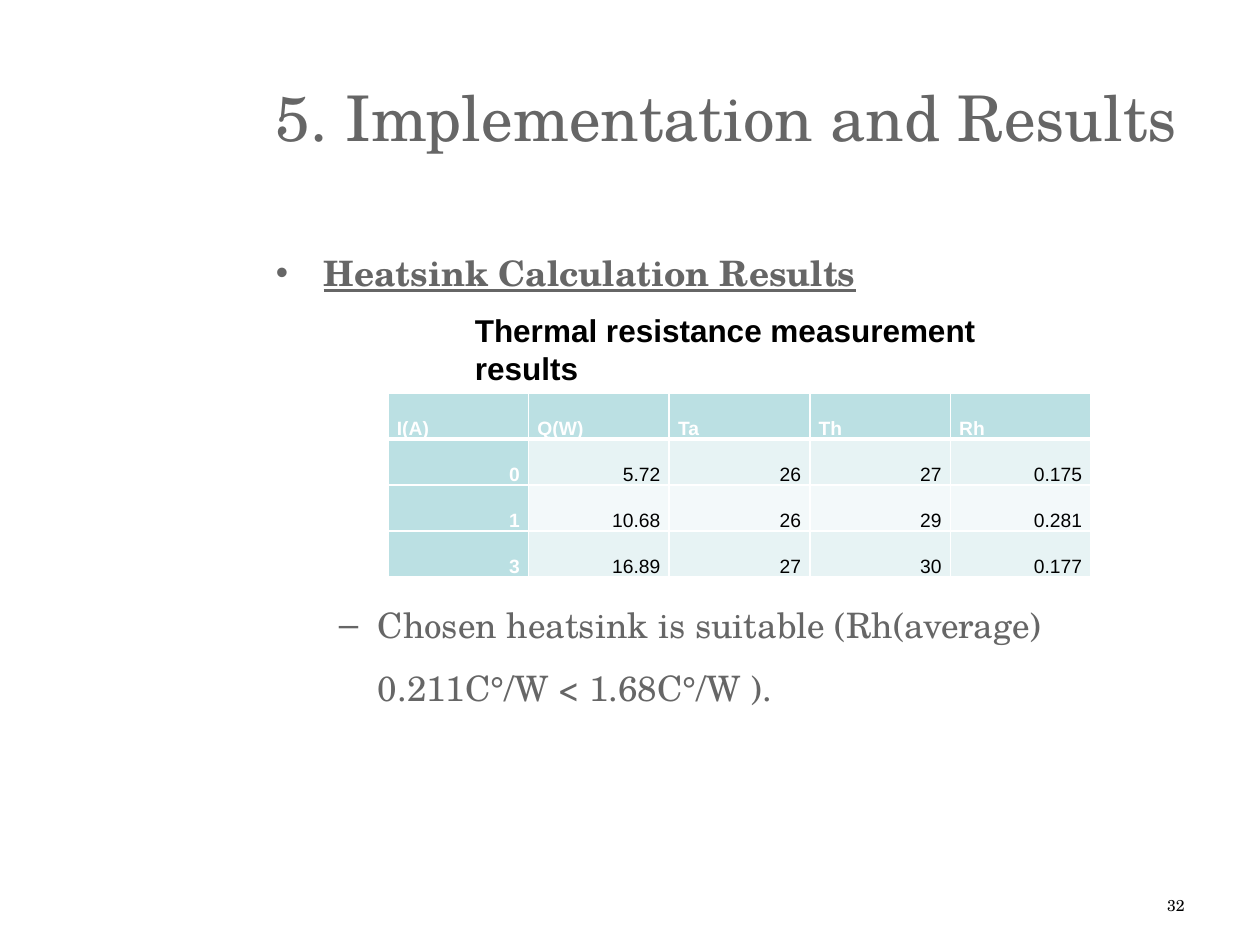
"""Build the heatsink calculation results slide."""
import pptx
import pptx.dml.color
import pptx.enum.text
import pptx.oxml
import pptx.oxml.ns
import pptx.util
from pptx.util import Inches, Pt

RGBColor = pptx.dml.color.RGBColor
ALIGN = pptx.enum.text.PP_ALIGN
ANCHOR = pptx.enum.text.MSO_ANCHOR
GREY = RGBColor(0x66, 0x66, 0x66)
BLACK = RGBColor(0, 0, 0)
WHITE = RGBColor(0xFF, 0xFF, 0xFF)
TEAL = RGBColor(0xBB, 0xE0, 0xE3)
BANDS = (RGBColor(0xE7, 0xF3, 0xF4), RGBColor(0xF3, 0xF9, 0xFA))
SERIF = "TeX Gyre Schola"
SANS = "Arial"

TITLE = "5. Implementation and Results"
HEADING = "Heatsink Calculation Results"
CONCLUSION = "Chosen heatsink is suitable (Rh(average) 0.211C°/W < 1.68C°/W )."
CAPTION = "Thermal resistance measurement results"
PAGE_NUMBER = "32"
MEASUREMENTS = [
    ("I(A)", "Q(W)", "Ta", "Th", "Rh"),
    ("0", "5.72", "26", "27", "0.175"),
    ("1", "10.68", "26", "29", "0.281"),
    ("3", "16.89", "27", "30", "0.177"),
]


def add_run(paragraph, text, size, font, color, bold=False, underline=False):
    run = paragraph.add_run()
    run.text = text
    run.font.size = Pt(size)
    run.font.name = font
    run.font.color.rgb = color
    run.font.bold = bold
    run.font.underline = underline


def add_frame(slide, left, top, width, height, anchor=ANCHOR.TOP):
    box = slide.shapes.add_textbox(Inches(left), Inches(top), Inches(width), Inches(height))
    box.text_frame.word_wrap = True
    box.text_frame.vertical_anchor = anchor
    return box.text_frame


def set_bullet(paragraph, character, margin, hanging, space_before):
    paragraph.line_spacing = 1.5
    paragraph.space_before = Pt(space_before)
    properties = paragraph._p.get_or_add_pPr()
    properties.set("marL", str(Inches(margin)))
    properties.set("indent", str(-Inches(hanging)))
    namespace = pptx.oxml.ns.nsdecls("a")
    properties.append(pptx.oxml.parse_xml(f'<a:buFont {namespace} typeface="{SANS}"/>'))
    properties.append(pptx.oxml.parse_xml(f'<a:buChar {namespace} char="{character}"/>'))


def set_borders(cell, widths):
    properties = cell._tc.get_or_add_tcPr()
    for side, width in zip("LRTB", widths):
        properties.append(pptx.oxml.parse_xml(
            f'<a:ln{side} {pptx.oxml.ns.nsdecls("a")} w="{Pt(width)}">'
            f'<a:solidFill><a:srgbClr val="{WHITE}"/></a:solidFill></a:ln{side}>'))


def fill_cell(cell, text, row, column):
    is_header = row == 0
    is_label = is_header or column == 0
    set_borders(cell, (1, 1, 3 if row == 1 else 1, 3 if is_header else 1))
    cell.fill.solid()
    cell.fill.fore_color.rgb = TEAL if is_label else BANDS[(row - 1) % 2]
    cell.margin_left = cell.margin_right = Inches(0.07)
    cell.margin_top = cell.margin_bottom = 0
    cell.vertical_anchor = ANCHOR.BOTTOM
    paragraph = cell.text_frame.paragraphs[0]
    paragraph.alignment = ALIGN.LEFT if is_header else ALIGN.RIGHT
    add_run(paragraph, text, 11, SANS, WHITE if is_label else BLACK, bold=is_label)


def add_measurements(slide, left, top, width, height):
    row_count, column_count = len(MEASUREMENTS), len(MEASUREMENTS[0])
    table = slide.shapes.add_table(
        row_count, column_count, Inches(left), Inches(top), Inches(width), Inches(height)).table
    for row, values in enumerate(MEASUREMENTS):
        for column, text in enumerate(values):
            fill_cell(table.cell(row, column), text, row, column)


presentation = pptx.Presentation()
presentation.slide_width, presentation.slide_height = Inches(10), Inches(7.5)
slide = presentation.slides.add_slide(presentation.slide_layouts[6])

title = add_frame(slide, 2.09, 0.3, 7.4, 1.25, ANCHOR.MIDDLE)
add_run(title.paragraphs[0], TITLE, 36, SERIF, GREY)

body = add_frame(slide, 2.09, 1.78, 7.41, 4.95)
heading = body.paragraphs[0]
set_bullet(heading, "•", 0.38, 0.38, 4)
add_run(heading, HEADING, 20, SERIF, GREY, bold=True, underline=True)
conclusion = body.add_paragraph()
set_bullet(conclusion, "–", 0.81, 0.31, 165)
add_run(conclusion, CONCLUSION, 20, SERIF, GREY)

number = add_frame(slide, 7.17, 7.06, 2.33, 0.29).paragraphs[0]
number.alignment = ALIGN.RIGHT
add_run(number, PAGE_NUMBER, 9, SERIF, BLACK)

add_measurements(slide, 3.08, 3.12, 5.58, 1.46)

caption = add_frame(slide, 3.67, 2.42, 4.75, 0.71)
add_run(caption.paragraphs[0], CAPTION, 18, SANS, BLACK, bold=True)

presentation.save("out.pptx")
